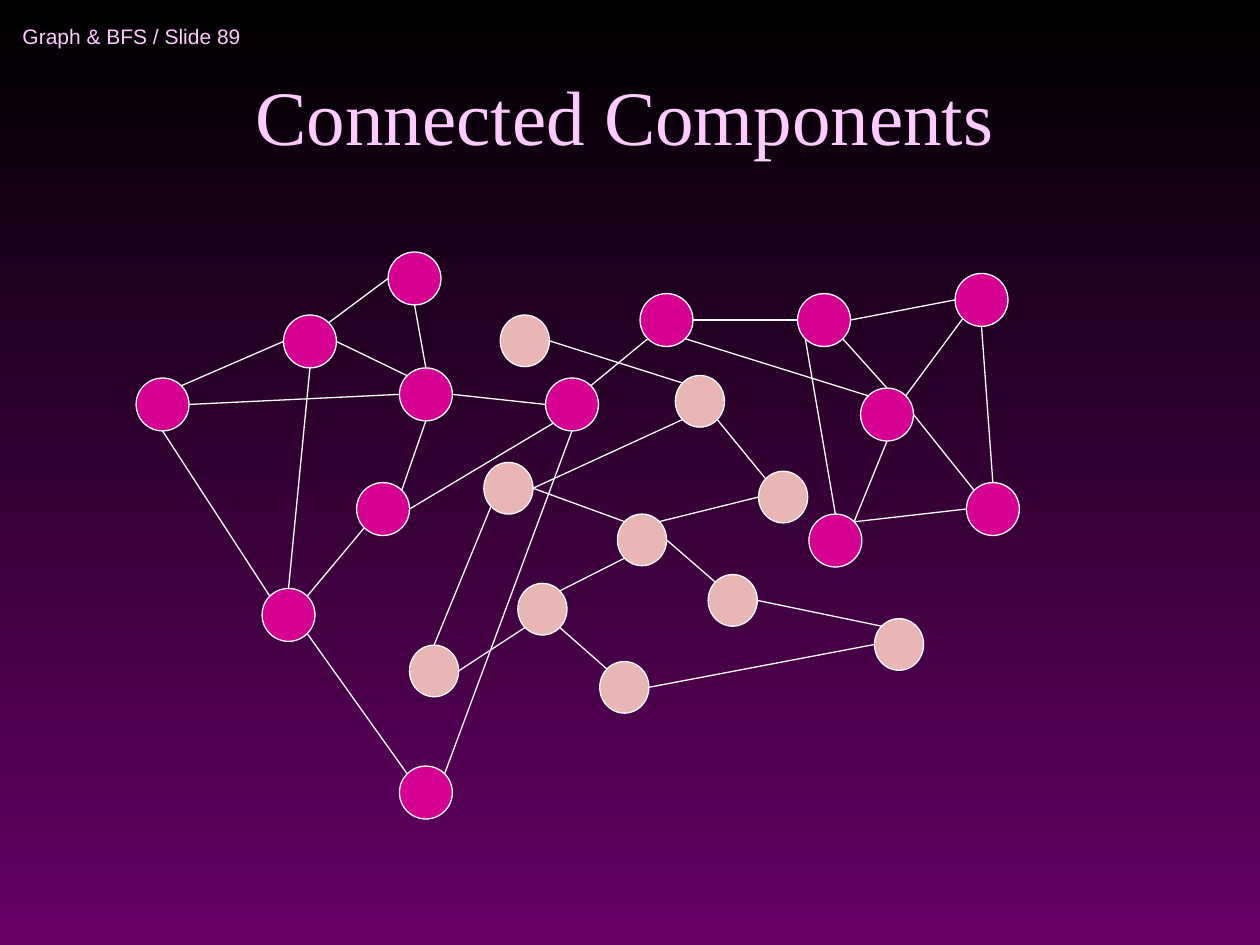
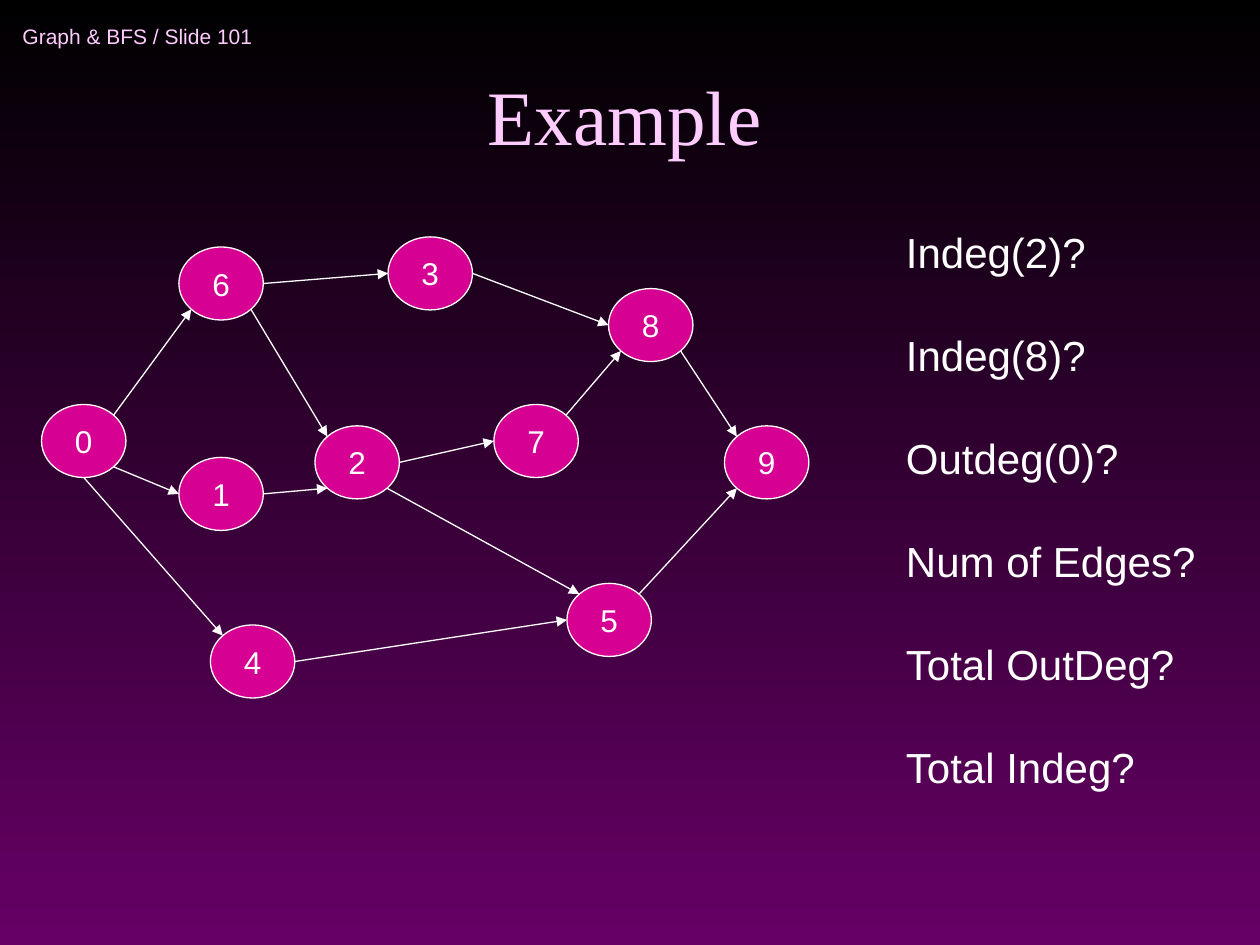
from typing import NamedTuple

from lxml import etree
from pptx import Presentation
from pptx.dml.color import RGBColor
from pptx.enum.shapes import MSO_CONNECTOR, MSO_SHAPE
from pptx.enum.text import MSO_ANCHOR, MSO_AUTO_SIZE, PP_ALIGN
from pptx.oxml.ns import qn
from pptx.util import Inches, Pt

ELLIPSE, STRAIGHT = MSO_SHAPE.OVAL, MSO_CONNECTOR.STRAIGHT
LEFT, CENTER = PP_ALIGN.LEFT, PP_ALIGN.CENTER
TOP, MIDDLE, BOTTOM = MSO_ANCHOR.TOP, MSO_ANCHOR.MIDDLE, MSO_ANCHOR.BOTTOM
NO_FIT = MSO_AUTO_SIZE.NONE

COLORS = {"black": "000000", "purple": "660066", "pink": "FFCCFF",
          "magenta": "D60093", "peach": "E9B5B5", "white": "FFFFFF"}
TITLE_FONT, TEXT_FONT = "Times New Roman", "Arial"
LINE_WIDTH = Pt(0.75)
TITLE_AND_BODY, TITLE_ONLY = 1, 5
DIAGONAL = 0.5 ** 0.5
DIRECTIONS = {"N": (0, -1), "S": (0, 1), "W": (-1, 0), "E": (1, 0),
              "NW": (-DIAGONAL, -DIAGONAL), "NE": (DIAGONAL, -DIAGONAL),
              "SW": (-DIAGONAL, DIAGONAL), "SE": (DIAGONAL, DIAGONAL)}


class Node(NamedTuple):
    """Name and top left corner of a vertex, in inches."""
    name: str
    x: float
    y: float


class Edge(NamedTuple):
    """Two vertices and the compass point where the line meets each."""
    start: str
    start_side: str
    end: str
    end_side: str


class Graph(NamedTuple):
    """Vertices of one size and colour with their edges."""
    nodes: list[Node]
    edges: list[Edge]
    width: float
    height: float
    color: str
    directed: bool = False


LIGHT_COMPONENT = Graph(
    [Node("a", 3.84, 3.67), Node("b", 3.25, 5.12), Node("c", 4.11, 4.63),
     Node("d", 4.76, 5.25), Node("e", 4.9, 4.08), Node("f", 5.62, 4.56),
     Node("g", 6.94, 4.91), Node("h", 6.02, 3.74), Node("i", 5.36, 2.98),
     Node("j", 3.97, 2.5)],
    [Edge("j", "E", "i", "NW"), Edge("i", "SE", "h", "NW"),
     Edge("h", "W", "e", "NE"), Edge("i", "SW", "a", "E"),
     Edge("a", "E", "e", "NW"), Edge("a", "SW", "b", "N"),
     Edge("b", "E", "c", "SW"), Edge("c", "NE", "e", "SW"),
     Edge("c", "SE", "d", "NW"), Edge("d", "E", "g", "W"),
     Edge("e", "E", "f", "NW"), Edge("f", "E", "g", "NW")],
    0.39, 0.41, "peach")

DARK_COMPONENT = Graph(
    [Node("A", 5.08, 2.33), Node("B", 6.33, 2.33), Node("C", 6.83, 3.08),
     Node("D", 7.58, 2.17), Node("E", 7.67, 3.83), Node("F", 6.42, 4.08),
     Node("G", 4.33, 3), Node("H", 3.17, 2.92), Node("I", 2.83, 3.83),
     Node("J", 3.08, 2), Node("K", 2.25, 2.5), Node("L", 2.08, 4.67),
     Node("M", 1.08, 3), Node("N", 3.17, 6.08)],
    [Edge("N", "NW", "L", "SE"), Edge("L", "NE", "I", "SW"),
     Edge("L", "N", "K", "S"), Edge("L", "NW", "M", "S"),
     Edge("M", "NE", "K", "W"), Edge("K", "E", "H", "NW"),
     Edge("I", "NE", "H", "S"), Edge("J", "W", "K", "NE"),
     Edge("H", "W", "M", "E"), Edge("J", "S", "H", "N"),
     Edge("H", "E", "G", "W"), Edge("G", "S", "N", "NE"),
     Edge("I", "E", "G", "SW"), Edge("A", "SW", "G", "NE"),
     Edge("A", "E", "B", "W"), Edge("B", "SW", "F", "N"),
     Edge("B", "E", "D", "W"), Edge("B", "SE", "C", "N"),
     Edge("E", "N", "D", "S"), Edge("F", "NE", "E", "W"),
     Edge("C", "NE", "D", "SW"), Edge("C", "S", "F", "NE"),
     Edge("C", "E", "E", "NW"), Edge("C", "NW", "A", "SE")],
    0.42, 0.42, "magenta")

DIRECTED_GRAPH = Graph(
    [Node("0", 0.33, 3.21), Node("1", 1.42, 3.63), Node("2", 2.5, 3.38),
     Node("3", 3.08, 1.88), Node("4", 1.67, 4.96), Node("5", 4.5, 4.63),
     Node("6", 1.42, 1.96), Node("7", 3.92, 3.21), Node("8", 4.83, 2.29),
     Node("9", 5.75, 3.38)],
    [Edge("0", "S", "4", "NW"), Edge("0", "SE", "1", "W"),
     Edge("0", "NE", "6", "SW"), Edge("6", "E", "3", "W"),
     Edge("6", "SE", "2", "NW"), Edge("1", "E", "2", "SW"),
     Edge("4", "E", "5", "W"), Edge("2", "SE", "5", "NW"),
     Edge("5", "NE", "9", "SW"), Edge("2", "E", "7", "W"),
     Edge("3", "E", "8", "W"), Edge("8", "SE", "9", "NW"),
     Edge("7", "NE", "8", "SW")],
    0.67, 0.58, "magenta", directed=True)

QUESTIONS = ["Indeg(2)?", "Indeg(8)?", "Outdeg(0)?", "Num of Edges?",
             "Total OutDeg?", "Total Indeg?"]


def rgb(name: str) -> RGBColor:
    """Return a palette colour."""
    return RGBColor.from_string(COLORS[name])


def place(shape, x: float, y: float, w: float, h: float) -> None:
    """Move and size a shape in inches."""
    shape.left, shape.top = Inches(x), Inches(y)
    shape.width, shape.height = Inches(w), Inches(h)


def write(shape, *lines: str, size: float, color: str, font: str = TEXT_FONT,
          align=LEFT, anchor=MIDDLE, wrap: bool = True, gap: float = 0) -> None:
    """Fill a shape with plain paragraphs separated by a gap in points."""
    tf = shape.text_frame
    tf.auto_size, tf.word_wrap, tf.vertical_anchor = NO_FIT, wrap, anchor
    for i, line in enumerate(lines):
        p = tf.add_paragraph() if i else tf.paragraphs[0]
        p.alignment = align
        p.space_before = Pt(gap if i else 0)
        r = p.add_run()
        r.text = line
        r.font.size, r.font.name = Pt(size), font
        r.font.color.rgb = rgb(color)


def draw_edge(s, start: tuple[float, float], end: tuple[float, float],
              directed: bool) -> None:
    """Draw a white line, with an arrowhead at its end if directed."""
    line = s.shapes.add_connector(STRAIGHT, *map(Inches, start + end))
    line.line.color.rgb = rgb("white")
    line.line.width = LINE_WIDTH
    if directed:
        etree.SubElement(line.line._get_or_add_ln(), qn("a:tailEnd"), type="triangle")
    etree.SubElement(line._element.spPr, qn("a:effectLst"))


def draw_graph(s, graph: Graph) -> None:
    """Draw the vertices of a graph and then its edges."""
    nodes = {node.name: node for node in graph.nodes}

    def rim(name: str, side: str) -> tuple[float, float]:
        """Return the point of a vertex's outline at a compass point."""
        dx, dy = DIRECTIONS[side]
        return (nodes[name].x + graph.width * (1 + dx) / 2,
                nodes[name].y + graph.height * (1 + dy) / 2)

    for node in graph.nodes:
        sp = s.shapes.add_shape(ELLIPSE, Inches(node.x), Inches(node.y),
                                Inches(graph.width), Inches(graph.height))
        sp.shadow.inherit = False
        sp.fill.solid()
        sp.fill.fore_color.rgb = rgb(graph.color)
        sp.line.color.rgb = rgb("white")
        sp.line.width = LINE_WIDTH
        if graph.directed:
            write(sp, node.name, size=18, color="white", align=CENTER, wrap=False)
    for edge in graph.edges:
        draw_edge(s, rim(edge.start, edge.start_side),
                  rim(edge.end, edge.end_side), graph.directed)


def set_background(prs) -> None:
    """Give the master a vertical black to purple gradient."""
    fill = prs.slide_master.background.fill
    fill.gradient()
    fill.gradient_angle = 270
    for stop, position, color in zip(fill.gradient_stops, (0, 1), ("black", "purple")):
        stop.position = position
        stop.color.rgb = rgb(color)


def add_slide(prs, layout: int, title: str, number: int):
    """Add a slide with its title and running header."""
    s = prs.slides.add_slide(prs.slide_layouts[layout])
    header = s.shapes.add_textbox(Inches(0.08), Inches(0.08), Inches(2.75), Inches(0.42))
    write(header, f"Graph & BFS / Slide {number}", size=12, color="pink")
    place(s.shapes.title, 0.67, 0.25, 8.58, 1.08)
    write(s.shapes.title, title, size=44, color="pink", font=TITLE_FONT,
          align=CENTER, anchor=BOTTOM)
    return s


def add_questions(s) -> None:
    """Set the questions as an unbulleted list in the body placeholder."""
    body = s.placeholders[1]
    place(body, 7.09, 1.75, 2.5, 4.5)
    body.text_frame.margin_right = 0
    write(body, *QUESTIONS, size=24, color="white", anchor=TOP, gap=30)
    for p in body.text_frame.paragraphs:
        pPr = p._p.get_or_add_pPr()
        pPr.set("marL", "0")
        pPr.set("indent", "0")
        etree.SubElement(pPr, qn("a:buNone"))


def main() -> None:
    """Build both slides and save them."""
    prs = Presentation()
    prs.slide_width, prs.slide_height = Inches(10), Inches(7.5)
    set_background(prs)

    s = add_slide(prs, TITLE_ONLY, "Connected Components", 89)
    draw_graph(s, LIGHT_COMPONENT)
    draw_graph(s, DARK_COMPONENT)

    s = add_slide(prs, TITLE_AND_BODY, "Example", 101)
    draw_graph(s, DIRECTED_GRAPH)
    add_questions(s)

    prs.save("out.pptx")


if __name__ == "__main__":
    main()
